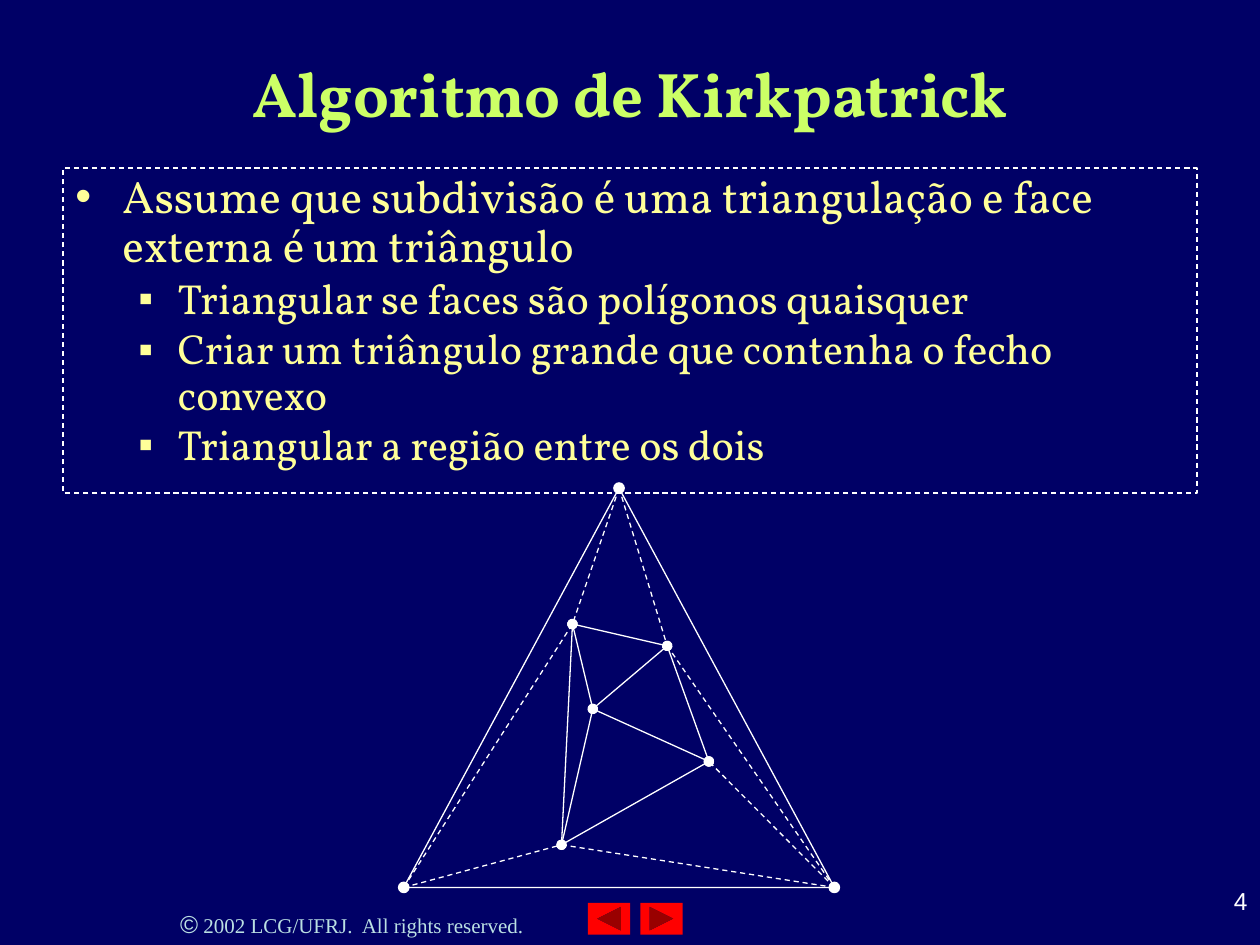
from dataclasses import dataclass

from lxml import etree
from pptx import Presentation, util as u
from pptx.dml.color import RGBColor
from pptx.enum import dml, shapes, text
from pptx.oxml.ns import qn


@dataclass(frozen=True)
class Theme:
    back: str = "000066"
    title: str = "CCFF66"
    body: str = "FFFF99"
    line: str = "FFFFFF"
    footer: str = "BBE0E3"
    button: str = "FF0000"
    serif: str = "Vollkorn"
    sans: str = "Arial"
    roman: str = "Times New Roman"
    title_size: int = 36
    body_size: int = 26
    sub_size: int = 24
    number_size: int = 14
    footer_size: int = 12
    line_width: float = 0.75


T = Theme()
ALIGN = text.PP_ALIGN


def place(box):
    return [u.Cm(v) for v in box]


def assign(obj, formats):
    for name, value in formats.items():
        setattr(obj, name, value)


def add_run(p, words, font, size, colour, bold=False):
    r = p.add_run()
    r.text = words
    assign(r.font, {"name": font, "size": u.Pt(size), "bold": bold})
    r.font.color.rgb = RGBColor.from_string(colour)


def style_line(line, dashed=False):
    line.width = u.Pt(T.line_width)
    line.color.rgb = RGBColor.from_string(T.line)
    if dashed:
        line.dash_style = dml.MSO_LINE.DASH


def add_text(s, box):
    sp = s.shapes.add_textbox(*place(box))
    sp.text_frame.word_wrap = True
    return sp


def add_title(s, box, words):
    sp = s.shapes.title
    assign(sp, dict(zip(("left", "top", "width", "height"), place(box))))
    tf = sp.text_frame
    tf.vertical_anchor = text.MSO_ANCHOR.MIDDLE
    p = tf.paragraphs[0]
    p.alignment = ALIGN.CENTER
    add_run(p, words, T.serif, T.title_size, T.title, True)


def add_bullet(p, mark, left, hang):
    pPr = p._p.get_or_add_pPr()
    pPr.set("marL", str(u.Cm(left)))
    pPr.set("indent", str(-u.Cm(hang)))
    colour = etree.SubElement(pPr, qn("a:buClr"))
    etree.SubElement(colour, qn("a:srgbClr"), val=T.body)
    etree.SubElement(pPr, qn("a:buFont"), typeface=T.sans)
    etree.SubElement(pPr, qn("a:buChar"), char=mark)


def add_body(s, box, items):
    levels = [("•", 0.95, 0.95, T.body_size), ("▪", 2.06, 0.79, T.sub_size)]
    sp = add_text(s, box)
    style_line(sp.line, dashed=True)
    tf = sp.text_frame
    for i, (level, words) in enumerate(items):
        p = tf.add_paragraph() if i else tf.paragraphs[0]
        mark, left, hang, size = levels[level]
        add_bullet(p, mark, left, hang)
        assign(p, {"level": level, "line_spacing": 0.9,
                   "space_before": u.Pt(3 if i else 0)})
        add_run(p, words, T.serif, size, T.body)


def add_edge(group, start, end, dashed=False, dots=False):
    c = group.shapes.add_connector(shapes.MSO_CONNECTOR.STRAIGHT, *start, *end)
    style_line(c.line, dashed)
    if dots:
        ln = c.line._get_or_add_ln()
        for tag in ("a:headEnd", "a:tailEnd"):
            etree.SubElement(ln, qn(tag), type="oval")
    etree.SubElement(c._element.spPr, qn("a:effectLst"))


def add_triangulation(s, box):
    left, top, width, height = box
    dot = 0.21
    vertices = {
        "top": (width / 2, 0), "left": (0, height), "right": (width, height),
        "a": (3.4, 2.74), "b": (5.31, 3.18), "c": (3.81, 4.45),
        "d": (6.15, 5.51), "e": (3.18, 7.19),
    }
    at = {k: place((left + x, top + y)) for k, (x, y) in vertices.items()}
    group = s.shapes.add_group_shape()

    for edge in ("ab", "ac", "cd", "bd", "ed", "ea"):
        add_edge(group, at[edge[0]], at[edge[1]], dots=True)
    for edge in ("ce", "cb"):
        add_edge(group, at[edge[0]], at[edge[1]])

    sp = group.shapes.add_shape(
        shapes.MSO_SHAPE.ISOSCELES_TRIANGLE, *place(box))
    sp.shadow.inherit = False
    sp.fill.background()
    style_line(sp.line)

    for corner in ("left", "right", "top"):
        x, y = vertices[corner]
        sp = group.shapes.add_shape(shapes.MSO_SHAPE.OVAL, *place(
            (left + x - dot / 2, top + y - dot / 2, dot, dot)))
        sp.shadow.inherit = False
        sp.fill.solid()
        sp.fill.fore_color.rgb = RGBColor.from_string(T.line)
        style_line(sp.line)

    for corner, inner in (("top", "ab"), ("left", "ae"), ("right", "bde")):
        for vertex in inner:
            add_edge(group, at[corner], at[vertex], dashed=True)


def add_footer(s, box):
    p = add_text(s, box).text_frame.paragraphs[0]
    p.alignment = ALIGN.CENTER
    add_run(p, "©", T.sans, T.number_size, T.footer)
    add_run(p, " 2002 LCG/UFRJ.  All rights reserved.",
            T.roman, T.footer_size, T.footer)


def add_navigation(s, box):
    left, top, width, height = box
    button = 0.85
    for x, turn in ((left, 180), (left + width - button, 0)):
        sp = s.shapes.add_shape(
            shapes.MSO_SHAPE.ACTION_BUTTON_FORWARD_OR_NEXT,
            *place((x, top, button, height)))
        sp.rotation = turn
        sp.shadow.inherit = False
        sp.fill.solid()
        sp.fill.fore_color.rgb = RGBColor.from_string(T.button)
        sp.line.fill.background()


def add_number(s, box, number):
    p = add_text(s, box).text_frame.paragraphs[0]
    p.alignment = ALIGN.RIGHT
    add_run(p, number, T.sans, T.number_size, T.line)


def main():
    prs = Presentation()
    prs.slide_width, prs.slide_height = place((25.4, 19.05))
    s = prs.slides.add_slide(prs.slide_layouts.get_by_name("Title Only"))
    s.background.fill.solid()
    s.background.fill.fore_color.rgb = RGBColor.from_string(T.back)

    add_footer(s, (2.12, 18.2, 9.95, 0.85))
    add_navigation(s, (11.85, 18.2, 1.91, 0.64))
    add_title(s, (1.27, 0.76, 22.86, 2.21), "Algoritmo de Kirkpatrick")
    add_body(s, (1.27, 3.39, 22.86, 6.55), [
        (0, "Assume que subdivisão é uma triangulação e face externa é um "
            "triângulo"),
        (1, "Triangular se faces são polígonos quaisquer"),
        (1, "Criar um triângulo grande que contenha o fecho convexo"),
        (1, "Triangular a região entre os dois"),
    ])
    add_triangulation(s, (8.14, 9.84, 8.68, 8.05))
    add_number(s, (22.86, 17.73, 2.54, 1.32), "4")
    prs.save("out.pptx")


if __name__ == "__main__":
    main()
